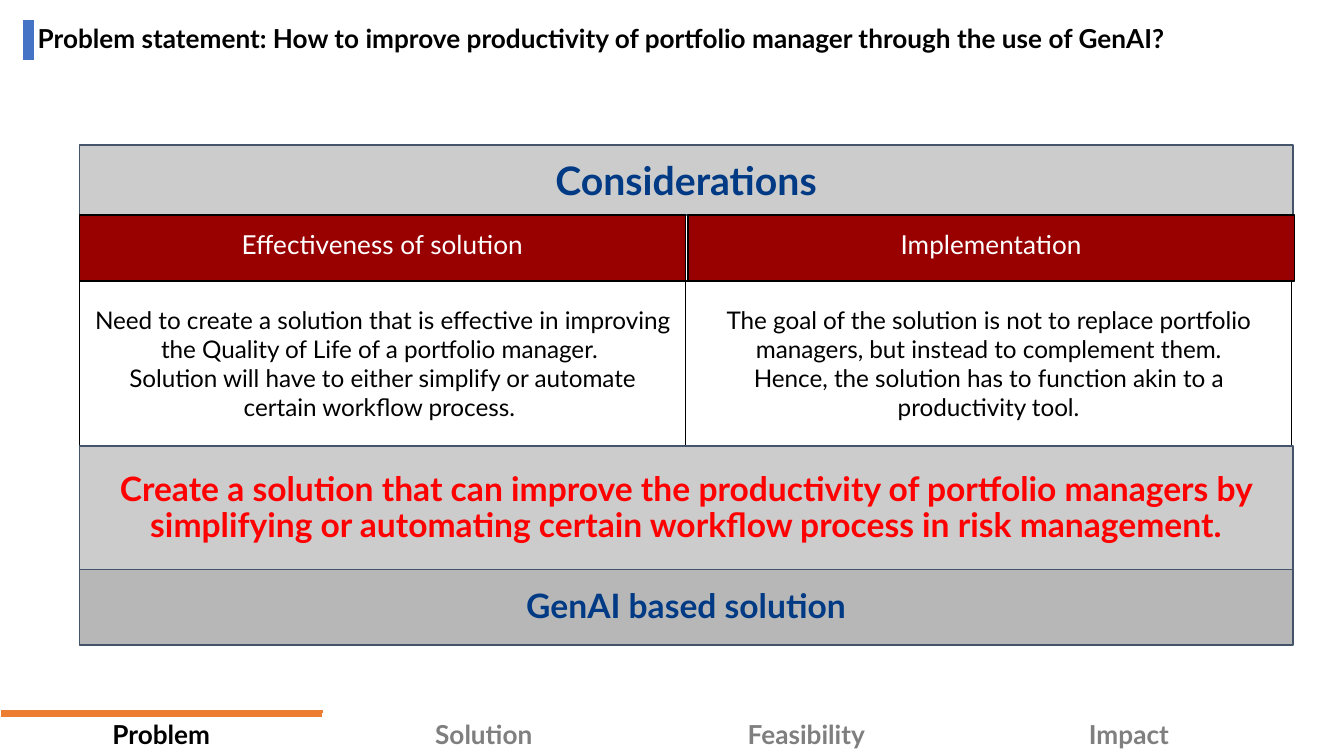
from dataclasses import dataclass

from lxml.etree import SubElement
from pptx import Presentation
from pptx.dml.color import RGBColor
from pptx.enum.shapes import MSO_CONNECTOR, MSO_SHAPE
from pptx.enum.text import MSO_ANCHOR, PP_ALIGN
from pptx.oxml import parse_xml
from pptx.oxml.ns import nsdecls, qn
from pptx.util import Inches, Pt


@dataclass(frozen=True)
class Theme:
    font: str = "Lato"
    # Colours
    black: str = "000000"
    white: str = "FFFFFF"
    muted: str = "7F7F7F"
    title_bar: str = "4472C4"
    active_step: str = "ED7D31"
    band: str = "CCCCCC"
    dark_band: str = "B7B7B7"
    band_line: str = "44546A"
    column_head: str = "990000"
    heading: str = "003A84"
    emphasis: str = "FF0000"
    # Type sizes
    label_size: int = 14
    body_size: int = 13
    heading_size: int = 21
    message_size: int = 18


THEME = Theme()
LEFT, WIDTH = 0.59, 9.03
COLUMN_WIDTH = 4.51


def rgb(color):
    return RGBColor.from_string(color)


def write(frame, paragraphs, size, color, bold=False,
          align=PP_ALIGN.CENTER, spacing=None):
    for index, text in enumerate(paragraphs):
        paragraph = frame.paragraphs[0] if index == 0 else frame.add_paragraph()
        paragraph.alignment = align
        if spacing:
            paragraph.line_spacing = spacing
        run = paragraph.add_run()
        run.text = text
        run.font.name = THEME.font
        run.font.size = Pt(size)
        run.font.bold = bold
        run.font.color.rgb = rgb(color)


def set_margins(frame, horizontal, vertical):
    frame.margin_left = frame.margin_right = Inches(horizontal)
    frame.margin_top = frame.margin_bottom = Inches(vertical)


def add_panel(slide, box, paragraphs, size, color, fill=None,
              line=THEME.band_line, anchor=MSO_ANCHOR.MIDDLE, **style):
    panel = slide.shapes.add_shape(MSO_SHAPE.RECTANGLE, *map(Inches, box))
    panel.shadow.inherit = False
    if fill:
        panel.fill.solid()
        panel.fill.fore_color.rgb = rgb(fill)
    else:
        panel.fill.background()
    panel.line.color.rgb = rgb(line)
    panel.line.width = Pt(0.75)
    frame = panel.text_frame
    frame.word_wrap = True
    frame.vertical_anchor = anchor
    set_margins(frame, 0.1, 0.1)
    write(frame, paragraphs, size, color, **style)


def add_title(slide, text):
    bar = slide.shapes.add_connector(
        MSO_CONNECTOR.STRAIGHT, *map(Inches, (0.21, 0.15, 0.21, 0.45)))
    bar.line.color.rgb = rgb(THEME.title_bar)
    bar.line.width = Pt(6)
    SubElement(bar._element.spPr, qn("a:effectLst"))

    title = slide.shapes.add_textbox(*map(Inches, (0.21, 0.15, 9.79, 0.3)))
    frame = title.text_frame
    frame.word_wrap = True
    frame.vertical_anchor = MSO_ANCHOR.MIDDLE
    set_margins(frame, 0.07, 0.04)
    write(frame, [text], THEME.label_size, THEME.black, bold=True,
          align=PP_ALIGN.LEFT, spacing=0.9)


def add_top_border(cell, color, width):
    border = parse_xml(
        f'<a:lnT {nsdecls("a")} w="{Pt(width)}"><a:solidFill>'
        f'<a:srgbClr val="{color}"/></a:solidFill></a:lnT>')
    cell._tc.get_or_add_tcPr().insert(0, border)


def add_navigation(slide, steps, active):
    step_width = 2.4
    table = slide.shapes.add_table(
        1, len(steps), Inches(0), Inches(5.31),
        Inches(step_width * len(steps)), Inches(0.3)).table
    table.first_row = table.horz_banding = False
    for column, step in enumerate(steps):
        table.columns[column].width = Inches(step_width)
        cell = table.cell(0, column)
        cell.fill.solid()
        cell.fill.fore_color.rgb = rgb(THEME.white)
        set_margins(cell, 0.08, 0.04)
        color = THEME.black if step == active else THEME.muted
        write(cell.text_frame, [step], THEME.label_size, color, bold=True)
        if step == active:
            add_top_border(cell, THEME.active_step, 4.5)


def add_consideration(slide, head_left, body_left, heading, body):
    add_panel(slide, (head_left, 1.6, COLUMN_WIDTH, 0.49), [heading],
              THEME.label_size, THEME.white, fill=THEME.column_head,
              line=THEME.black, anchor=MSO_ANCHOR.TOP)
    add_panel(slide, (body_left, 2.09, COLUMN_WIDTH, 1.23), body,
              THEME.body_size, THEME.black, line=THEME.black)


def main():
    deck = Presentation()
    # Widescreen, 16:9
    deck.slide_width = Inches(10)
    deck.slide_height = deck.slide_width * 9 // 16
    slide = deck.slides.add_slide(deck.slide_layouts[6])

    # Title and progress navigation
    add_navigation(slide, ["Problem", "Solution", "Feasibility", "Impact"],
                   active="Problem")
    add_title(slide, "Problem statement: How to improve productivity of "
                     "portfolio manager through the use of GenAI?")

    # Considerations, in two columns
    add_panel(slide, (LEFT, 1.08, WIDTH, 0.52), ["Considerations"],
              THEME.heading_size, THEME.heading, fill=THEME.band, bold=True)
    add_consideration(
        slide, LEFT, LEFT, "Effectiveness of solution",
        ["Need to create a solution that is effective in improving the "
         "Quality of Life of a portfolio manager. ",
         "Solution will have to either simplify or automate certain "
         "workflow process. "])
    add_consideration(
        slide, 5.12, LEFT + COLUMN_WIDTH, "Implementation",
        ["The goal of the solution is not to replace portfolio managers, "
         "but instead to complement them.",
         "Hence, the solution has to function akin to a productivity tool."])

    # Conclusion
    add_panel(slide, (LEFT, 3.32, WIDTH, 0.93),
              ["Create a solution that can improve the productivity of "
               "portfolio managers by simplifying or automating certain "
               "workflow process in risk management."],
              THEME.message_size, THEME.emphasis, fill=THEME.band,
              bold=True, spacing=0.9)
    add_panel(slide, (LEFT, 4.24, WIDTH, 0.56), ["GenAI based solution"],
              THEME.message_size, THEME.heading, fill=THEME.dark_band,
              bold=True, spacing=0.9)

    deck.save("out.pptx")


if __name__ == "__main__":
    main()
